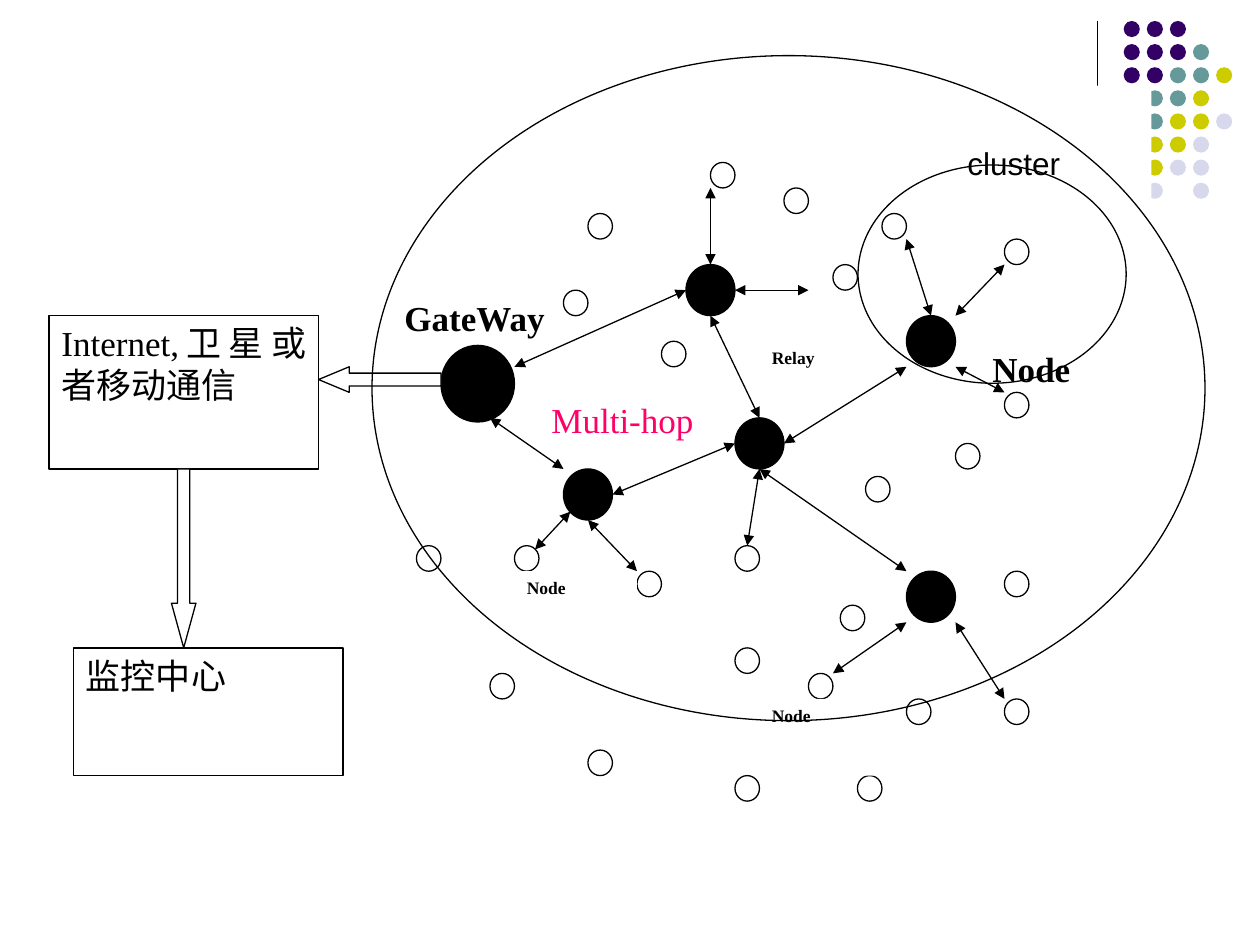
import collections

import pptx
import pptx.dml.color
import pptx.enum.dml
import pptx.enum.shapes
import pptx.enum.text
import pptx.oxml.ns
import pptx.util
from lxml import etree

Pt = pptx.util.Pt
SHAPE = pptx.enum.shapes.MSO_SHAPE
ALIGN = pptx.enum.text.PP_ALIGN
FIT = pptx.enum.text.MSO_AUTO_SIZE
Box = collections.namedtuple("Box", "left top width height")

BLACK, WHITE, PINK = "000000", "FFFFFF", "FF0066"
SERIF = "Times New Roman"
LINE_WIDTH = 0.75
COLUMN, ROW = 14, 14.6  # pitch of the network grid

DOT_COLORS = {"P": "330066", "T": "669999", "Y": "CCCC00", "L": "D8D8EC"}
DOT_ROWS = ["PPP..", "PPPT.", "PPTTY", ".TTY.", ".TYYL", ".YYL.", ".YLL.", ".L.L."]

# All positions below are columns and rows of the network grid.
NODES = [
    (40, 6), (28, 3), (23, 5), (31, 4), (34.33, 15.29), (40, 24), (26, 10),
    (29, 18), (29, 22), (20, 18), (32, 23), (33.3, 20.33), (34, 27), (16, 18),
    (19, 23), (25, 19), (23, 26), (29, 27), (35, 5), (40, 12), (33, 7),
    (22, 8), (38, 14), (40, 19), (36, 24),
]
RELAYS = [(22, 15), (29, 13), (27, 7), (36, 19), (36, 9)]
GATEWAY = (17, 10.16)
LINKS = [
    (36, 6, 37, 9), (40, 7, 38, 9), (40, 12, 38, 11), (38, 21, 40, 24),
    (31, 14, 36, 11), (30, 15, 36, 19), (24, 16, 29, 14), (19, 13, 22, 15),
    (20, 11, 27, 8), (28, 4, 28, 7), (29, 8, 32, 8), (33, 23, 36, 21),
    (23, 17, 25, 19), (28, 9, 30, 13),
]
FRONT_LINKS = [(30, 15, 29.5, 18), (20.84, 18.15, 22.28, 16.67)]
BACK_LABELS = [
    ("Multi-hop", (21, 12, 7, 3), dict(size=20, color=PINK)),
    ("Node", (39, 10, 5, 3), dict(size=20, bold=True)),
    ("Relay", (30, 10, 5, 3), dict(size=10, bold=True)),
    ("GateWay", (15, 8, 7, 3), dict(size=20, bold=True)),
]
FRONT_LABELS = [
    ("Node", (30, 24, 5, 3), dict(size=10, bold=True)),
    ("Node", (20, 19, 5, 3), dict(size=10, bold=True)),
]
STATIONS = [
    ("Internet,卫星或者移动通信", (1, 9, 11, 6)),
    ("监控中心", (2, 22, 11, 5)),
]
BLOCK_ARROWS = [
    (SHAPE.LEFT_ARROW, (12, 11, 5, 1), 1.2),
    (SHAPE.DOWN_ARROW, (6, 15, 1, 7), 1.82),
]


def rgb(value):
    return pptx.dml.color.RGBColor.from_string(value)


def add_shape(page, kind, box, fill=None, line=None):
    shape = page.shapes.add_shape(kind, *map(Pt, box))
    shape.shadow.inherit = False
    if fill:
        shape.fill.solid()
        shape.fill.fore_color.rgb = rgb(fill)
    else:
        shape.fill.background()
    if line:
        shape.line.color.rgb = rgb(line)
        shape.line.width = Pt(LINE_WIDTH)
    else:
        shape.line.fill.background()
    return shape


def add_line(page, start, end, arrows=False):
    line = page.shapes.add_connector(
        pptx.enum.shapes.MSO_CONNECTOR.STRAIGHT, *map(Pt, start + end))
    line.line.color.rgb = rgb(BLACK)
    line.line.width = Pt(LINE_WIDTH)
    if arrows:
        outline = line.line._get_or_add_ln()
        for tag in ("a:headEnd", "a:tailEnd"):
            etree.SubElement(outline, pptx.oxml.ns.qn(tag), type="triangle")
    etree.SubElement(line._element.spPr, pptx.oxml.ns.qn("a:effectLst"))


def write_text(shape, text, size=20, font=SERIF, color=BLACK, bold=False,
               align=ALIGN.JUSTIFY, wrap=True, fit=FIT.NONE):
    frame = shape.text_frame
    frame.word_wrap = wrap
    frame.auto_size = fit
    frame.vertical_anchor = pptx.enum.text.MSO_ANCHOR.TOP
    para = frame.paragraphs[0]
    para.alignment = align
    span = para.add_run()
    span.text = text
    span.font.size = Pt(size)
    span.font.name = font
    span.font.bold = bold
    span.font.color.rgb = rgb(color)


def add_dot_corner(page, box):
    """Vertical rule with a grid of coloured dots to its right."""
    add_line(page, (box.left, box.top), (box.left, box.top + box.height))
    pitch, size = 13.2, 9.2
    for row, codes in enumerate(DOT_ROWS):
        for column, code in enumerate(codes):
            if code in DOT_COLORS:
                dot = (box.left + 15.1 + column * pitch, box.top + row * pitch, size, size)
                add_shape(page, SHAPE.OVAL, dot, DOT_COLORS[code])


def add_network(page, box):
    def point(column, row):
        return box.left + column * COLUMN, box.top + row * ROW

    def cells(column, row, width, height):
        return point(column, row) + (width * COLUMN, height * ROW)

    def add_labels(labels):
        for text, place, style in labels:
            write_text(add_shape(page, SHAPE.RECTANGLE, cells(*place), WHITE), text, **style)

    def add_circles(places, size, fill):
        for place in places:
            add_shape(page, SHAPE.OVAL, cells(*place, size, size), fill, BLACK)

    def add_links(links):
        for x1, y1, x2, y2 in links:
            add_line(page, point(x1, y1), point(x2, y2), arrows=True)

    add_shape(page, SHAPE.RECTANGLE, box, WHITE)
    add_labels(BACK_LABELS)
    add_circles(NODES, 1, WHITE)
    add_circles(RELAYS, 2, BLACK)
    add_circles([GATEWAY], 3, BLACK)
    add_links(LINKS)
    for text, place in STATIONS:
        write_text(add_shape(page, SHAPE.RECTANGLE, cells(*place), WHITE, BLACK), text)
    for kind, place, head in BLOCK_ARROWS:
        arrow = add_shape(page, kind, cells(*place), WHITE, BLACK)
        arrow.adjustments[1] = head
    add_labels(FRONT_LABELS)
    add_links(FRONT_LINKS)


def add_cluster(page, box):
    add_shape(page, SHAPE.OVAL, box, line=BLACK)
    label = page.shapes.add_textbox(
        Pt(box.left + 55.4), Pt(box.top - 15.8), Pt(68), Pt(28.8))
    write_text(label, "cluster", size=18, font="Arial", align=ALIGN.LEFT,
               wrap=False, fit=FIT.SHAPE_TO_FIT_TEXT)


def main():
    deck = pptx.Presentation()
    deck.slide_width, deck.slide_height = Pt(720), Pt(540)
    page = deck.slides.add_slide(deck.slide_layouts[6])
    add_dot_corner(page, Box(627, 12, 78, 120))
    add_network(page, Box(14, 49, 46 * COLUMN, 31.5 * ROW))
    add_shape(page, SHAPE.OVAL, Box(212.6, 31.8, 476, 380), line=BLACK)
    add_cluster(page, Box(490.3, 94.3, 153.2, 124.7))
    deck.save("out.pptx")


if __name__ == "__main__":
    main()
